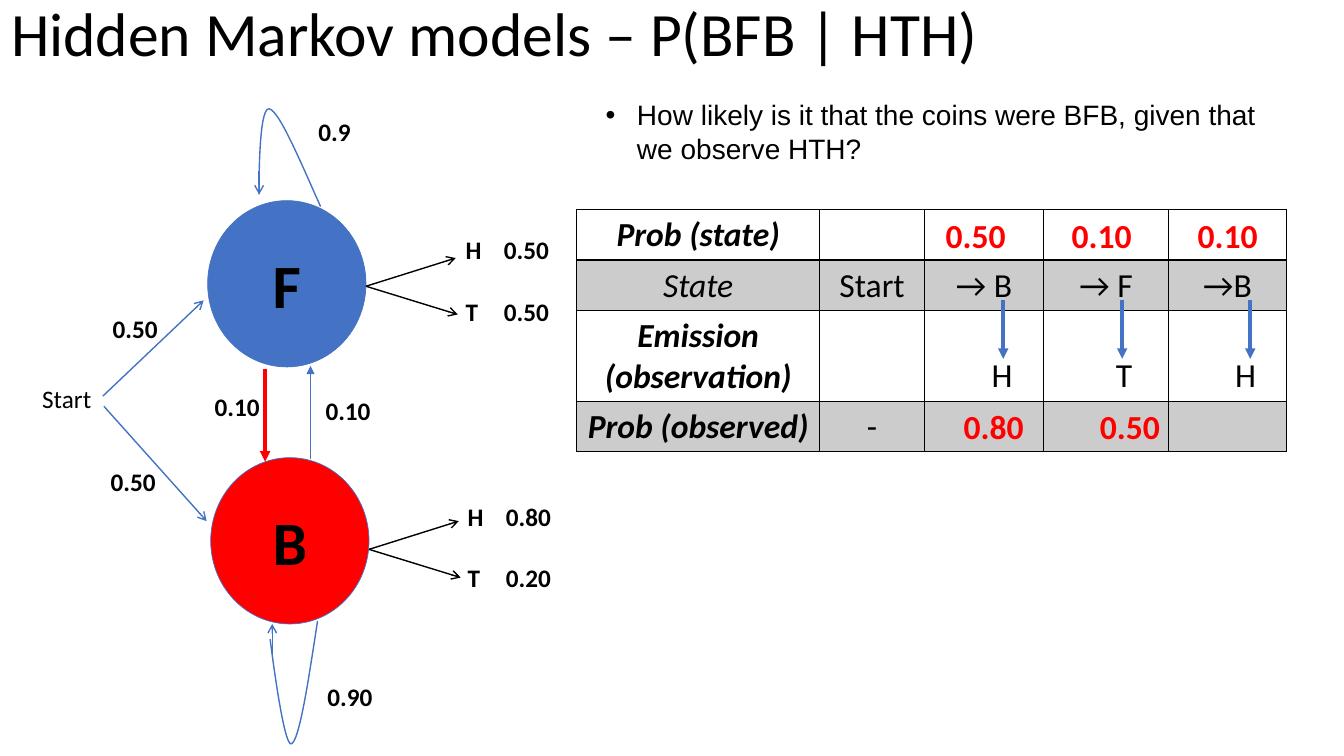
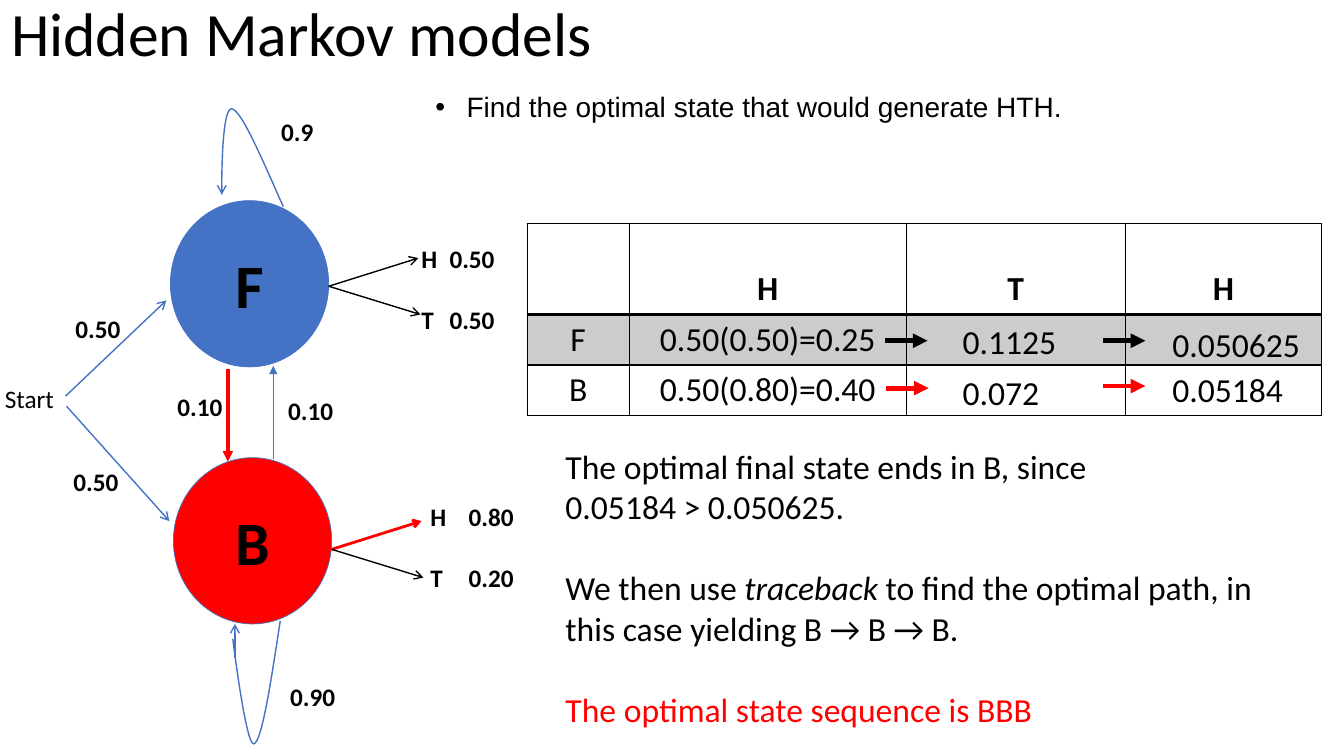
from dataclasses import dataclass

from lxml import etree
from pptx import Presentation
from pptx.dml.color import RGBColor
from pptx.enum.shapes import MSO_CONNECTOR, MSO_SHAPE
from pptx.enum.text import MSO_ANCHOR, MSO_AUTO_SIZE, PP_ALIGN
from pptx.oxml.ns import qn
from pptx.util import Inches, Pt

STRAIGHT = MSO_CONNECTOR.STRAIGHT
OVAL = MSO_SHAPE.OVAL
MIDDLE, BOTTOM = MSO_ANCHOR.MIDDLE, MSO_ANCHOR.BOTTOM
LEFT, CENTER = PP_ALIGN.LEFT, PP_ALIGN.CENTER
FIXED, GROW = MSO_AUTO_SIZE.NONE, MSO_AUTO_SIZE.SHAPE_TO_FIT_TEXT


@dataclass(frozen=True)
class Theme:
    black: RGBColor = RGBColor(0, 0, 0)
    blue: RGBColor = RGBColor(0x44, 0x72, 0xC4)
    red: RGBColor = RGBColor(0xFF, 0, 0)
    gray: RGBColor = RGBColor(0xCC, 0xCC, 0xCC)
    font: str = "Calibri"
    sans: str = "Arial"
    title: int = 44
    body: int = 24
    point: int = 20
    label: int = 18
    leading: float = 1.22


THEME = Theme()


def add_node(parent, tag, **attrs):
    return etree.SubElement(parent, qn(tag), {k: str(v) for k, v in attrs.items()})


def write(frame, lines, size=THEME.body, color=THEME.black, font=THEME.font,
          bold=False, italic=False, align=LEFT, gaps=(), tab=None, bullet=None):
    """Fill a frame; a line is a string or a list of (string, run format).

    Lines whose index is in gaps are set one line further down.
    """
    for i, line in enumerate(lines):
        para = frame.paragraphs[0] if i == 0 else frame.add_paragraph()
        para.alignment = align
        if i in gaps:
            para.space_before = Pt(round(size * THEME.leading, 1))
        props = para._p.get_or_add_pPr()
        if bullet:
            indent = Inches(0.31)
            props.set("marL", str(indent))
            props.set("indent", str(-indent))
            add_node(props, "a:buFont", typeface=THEME.sans)
            add_node(props, "a:buChar", char=bullet)
        if tab:
            stops = add_node(props, "a:tabLst")
            add_node(stops, "a:tab", pos=Inches(tab), algn="l")
        for words, extra in [(line, {})] if isinstance(line, str) else line:
            run = para.add_run()
            run.text = words
            run.font.name, run.font.size = font, Pt(size)
            run.font.bold = extra.get("bold", bold)
            run.font.italic = extra.get("italic", italic)
            run.font.color.rgb = extra.get("color", color)


def add_text(slide, box, *lines, **style):
    frame = slide.shapes.add_textbox(*map(Inches, box)).text_frame
    frame.word_wrap = True
    frame.auto_size = GROW
    write(frame, lines, **style)


def add_title(slide, words):
    title = slide.shapes.title
    title.left, title.top = Inches(0.01), Inches(-0.36)
    title.width, title.height = Inches(11.5), Inches(1.45)
    frame = title.text_frame
    frame.vertical_anchor = MIDDLE
    frame.auto_size = FIXED
    write(frame, [words], size=THEME.title)
    frame.paragraphs[0].line_spacing = 0.9


def add_arrow(slide, start, end, color=THEME.blue, width=1, head="arrow"):
    line = slide.shapes.add_connector(STRAIGHT, *map(Inches, (*start, *end)))
    line.line.color.rgb = color
    line.line.width = Pt(width)
    props = line.element.spPr
    add_node(props.find(qn("a:ln")), "a:tailEnd", type=head)
    add_node(props, "a:effectLst")


def add_curve(slide, start, *curves, steps=16):
    """Draw an open outline of cubic curves, each given by three points."""
    points = []
    origin = start
    for curve in curves:
        a, b, c, d = origin, *curve
        for i in range(1, steps + 1):
            t = i / steps
            u = 1 - t
            parts = (u**3, 3 * u * u * t, 3 * u * t * t, t**3)
            points.append(tuple(Inches(sum(w * p for w, p in zip(parts, axis)))
                                for axis in zip(a, b, c, d)))
        origin = d
    maker = slide.shapes.build_freeform(*map(Inches, start))
    maker.add_line_segments(points, close=False)
    shape = maker.convert_to_shape()
    shape.shadow.inherit = False
    shape.fill.background()
    shape.line.color.rgb = THEME.blue
    shape.line.width = Pt(1)


def add_state(slide, left, top, name, color):
    shape = slide.shapes.add_shape(OVAL, *map(Inches, (left, top, 1.57, 1.65)))
    shape.shadow.inherit = False
    shape.fill.solid()
    shape.fill.fore_color.rgb = color
    shape.line.color.rgb = THEME.blue
    shape.line.width = Pt(0.5)
    shape.text_frame.vertical_anchor = MIDDLE
    write(shape.text_frame, [name], size=THEME.title, bold=True, align=CENTER)


def add_model(slide, dx, fair_box, fair_tab=0.38, best=None):
    """Draw the two-state model moved by dx; best formats the B to H arrow."""
    def at(x, y):
        return x + dx, y

    add_state(slide, *at(2.06, 1.99), "F", THEME.blue)
    add_state(slide, *at(2.09, 4.54), "B", THEME.red)

    odds = (
        (fair_box, fair_tab, "0.50", "0.50"),
        ((*at(4.54, 4.92), 1.77, 1.01), 0.38, "0.80", "0.20"),
    )
    for box, tab, heads, tails in odds:
        add_text(slide, box, f"H\t{heads}", f"T\t{tails}", size=THEME.label,
                 bold=True, gaps=(1,), tab=tab)

    plain = {"color": THEME.black}
    arrows = (
        ((1.02, 3.93), (2.02, 2.98), {}),
        ((1.03, 4.03), (2.05, 5.17), {}),
        ((3.63, 2.84), (4.52, 2.56), plain),
        ((3.63, 2.84), (4.54, 3.12), plain),
        ((3.66, 5.45), (4.55, 5.17), best or plain),
        ((3.66, 5.45), (4.57, 5.73), plain),
        ((2.57, 1.7), (2.57, 1.93), {}),
        ((2.7, 6.53), (2.7, 6.19), {}),
        ((2.63, 3.66), (2.63, 4.58),
         {"color": THEME.red, "width": 2.5, "head": "triangle"}),
        ((3.08, 4.55), (3.08, 3.63), {"width": 0.5, "head": "triangle"}),
    )
    for start, end, style in arrows:
        add_arrow(slide, at(*start), at(*end), **style)

    loops = (
        ((3.18, 2.05), ((2.97, 1.58), (2.77, 1.1), (2.67, 1.08)),
         ((2.56, 1.06), (2.57, 1.93), (2.57, 1.93))),
        ((3.15, 6.16), ((3.06, 6.75), (2.97, 7.35), (2.89, 7.38)),
         ((2.81, 7.41), (2.68, 6.34), (2.68, 6.34))),
    )
    for start, *curves in loops:
        add_curve(slide, at(*start), *[[at(*p) for p in c] for c in curves])

    labels = (
        (1.02, 3.06, 1.46, "0.50"), (1, 4.58, 1.46, "0.50"),
        (3.15, 6.71, 1.46, "0.90"), (3.06, 1.1, 1.46, "0.9"),
        (2.03, 3.83, 0.75, "0.10"), (3.13, 3.87, 0.75, "0.10"),
        (0.32, 3.75, 1.51, "Start"),
    )
    for x, y, width, words in labels:
        add_text(slide, (*at(x, y), width, 0.4), words, size=THEME.label,
                 bold=words != "Start")


def set_border(cell, base):
    props = cell._tc.get_or_add_tcPr()
    for side in "LRTB":
        width = Pt(base if side == "B" else 1)
        line = add_node(props, f"a:ln{side}", w=width)
        fill = add_node(line, "a:solidFill")
        add_node(fill, "a:srgbClr", val=THEME.black)


def add_table(slide, left, top, widths, heights, rows, style):
    """Draw a table; style(row, column) gives the text format of a cell."""
    box = (left, top, sum(widths), sum(heights))
    table = slide.shapes.add_table(len(rows), len(widths),
                                   *map(Inches, box)).table
    table.first_row = table.horz_banding = False
    for column, width in zip(table.columns, widths):
        column.width = Inches(width)
    for r, (height, texts) in enumerate(zip(heights, rows)):
        table.rows[r].height = Inches(height)
        for c, words in enumerate(texts):
            cell = table.cell(r, c)
            set_border(cell, 2 if r == 0 else 1)
            if r % 2:
                cell.fill.solid()
                cell.fill.fore_color.rgb = THEME.gray
            else:
                cell.fill.background()
            cell.vertical_anchor = BOTTOM
            if words:
                write(cell.text_frame, [words], align=CENTER, **style(r, c))
    return table


def add_point(slide, box, words):
    add_text(slide, box, words, size=THEME.point, font=THEME.sans, bullet="•")


def build_path(slide):
    add_title(slide, "Hidden Markov models – P(BFB | HTH)")
    add_model(slide, 0, (4.52, 2.28, 1.79, 1.01))
    add_point(slide, (5.91, 0.92, 6.67, 0.77),
              "How likely is it that the coins were BFB, given that we observe HTH?")
    rows = (
        ("Prob (state)", "", "", "", ""),
        ("State", "Start", "→ B", "→ F", "→B"),
        ("Emission (observation)", "", "H", "T", "H"),
        ("Prob (observed)", "-", "", "", ""),
    )
    table = add_table(
        slide, 5.72, 2.08, (2.41, 1.04, 1.18, 1.24, 1.17), (0.5, 0.5, 0.9, 0.5),
        rows, lambda r, c: {"bold": c == 0 and r != 1, "italic": c == 0})
    for c in (2, 3, 4):
        table.cell(2, c).margin_left = Inches(0.46)
    for x in (9.95, 11.13, 12.4):
        add_arrow(slide, (x, 2.98), (x, 3.56), width=2.5, head="triangle")
    odds = ((9.28, 2.08, "0.50"), (10.53, 2.08, "0.10"), (11.78, 2.08, "0.10"),
            (9.46, 3.98, "0.80"), (10.81, 3.98, "0.50"))
    for x, y, words in odds:
        add_text(slide, (x, y, 0.98, 0.5), words, color=THEME.red, bold=True)


def build_best(slide):
    add_title(slide, "Hidden Markov models")
    add_model(slide, -0.37, (4.08, 2.36, 1.08, 1.01), fair_tab=0.28,
              best={"color": THEME.red, "width": 2})
    add_point(slide, (4.22, 0.84, 6.67, 0.44),
              "Find the optimal state that would generate HTH.")
    rows = (
        ("", "H", "T", "H"),
        ("F", "0.50(0.50)=0.25", "", ""),
        ("B", "0.50(0.80)=0.40", "", ""),
    )
    add_table(slide, 5.23, 2.22, (1.01, 2.75, 2.17, 1.95), (0.9, 0.5, 0.5),
              rows, lambda r, c: {"bold": r == 0})
    steps = ((8.78, 3.38, THEME.black), (8.79, 3.85, THEME.red),
             (10.94, 3.38, THEME.black), (10.94, 3.83, THEME.red))
    for x, y, color in steps:
        add_arrow(slide, (x, y), (x + 0.42, y), color, 3.5, "triangle")
    scores = ((9.45, 3.13, "0.1125"), (9.45, 3.64, "0.072"),
              (11.53, 3.16, "0.050625"), (11.53, 3.61, "0.05184"))
    for x, y, words in scores:
        add_text(slide, (x, y, 1.7, 0.5), words)
    add_text(
        slide, (5.51, 4.37, 7.42, 2.93),
        "The optimal final state ends in B, since",
        "0.05184 > 0.050625.",
        [("We then use ", {}), ("traceback", {"italic": True}),
         (" to find the optimal path, in this case yielding B → B → B.", {})],
        [("The optimal state sequence is BBB", {"color": THEME.red})],
        gaps=(2, 3))


def main():
    deck = Presentation()
    deck.slide_width, deck.slide_height = Inches(13.33), Inches(7.5)
    layout = deck.slide_layouts.get_by_name("Title Only")
    for build in (build_path, build_best):
        build(deck.slides.add_slide(layout))
    deck.save("out.pptx")


if __name__ == "__main__":
    main()
